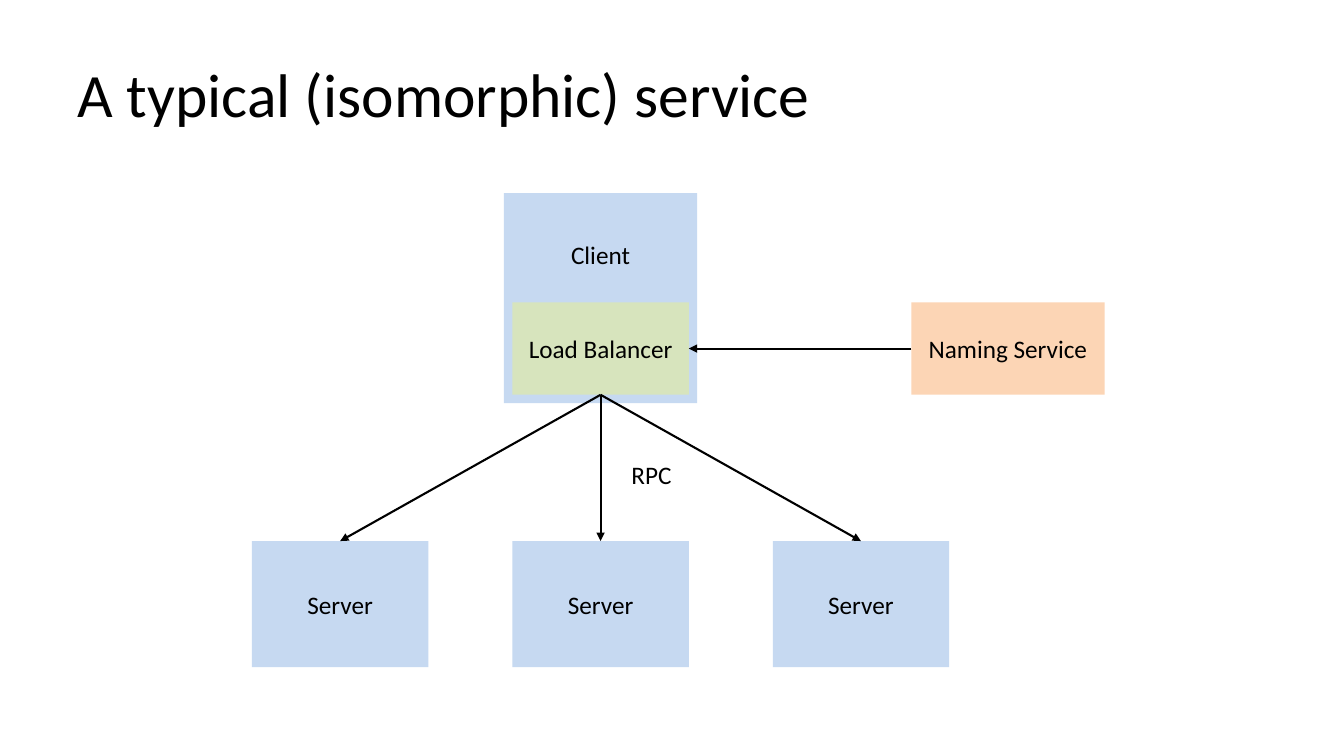
import pptx
import pptx.util
import pptx.dml.color
import pptx.enum.shapes
import pptx.enum.text
import pptx.oxml.ns
import lxml.etree

Pt = pptx.util.Pt
ALIGN = pptx.enum.text.PP_ALIGN
MIDDLE = pptx.enum.text.MSO_ANCHOR.MIDDLE
TOP, LEFT, BOTTOM, RIGHT = range(4)


class Board:
    colors = {"ink": "000000", "blue": "C6D9F1", "green": "D7E4BD", "peach": "FCD5B5"}
    font = "Calibri"

    def __init__(self, slide):
        self.slide = slide

    def color(self, name):
        return pptx.dml.color.RGBColor.from_string(self.colors[name])

    def fill_text(self, frame, text, size=18, align=ALIGN.LEFT):
        frame.text = text
        frame.word_wrap = True
        para = frame.paragraphs[0]
        para.alignment = align
        for run in para.runs:
            run.font.name = self.font
            run.font.size = Pt(size)
            run.font.color.rgb = self.color("ink")

    def title(self, text, left, top, width, height):
        shape = self.slide.shapes.title
        shape.left, shape.top = Pt(left), Pt(top)
        shape.width, shape.height = Pt(width), Pt(height)
        self.fill_text(shape.text_frame, text, 44)
        shape.text_frame.vertical_anchor = MIDDLE

    def box(self, text, fill, left, top, width, height, inset=3.6):
        shape = self.slide.shapes.add_shape(
            pptx.enum.shapes.MSO_SHAPE.RECTANGLE, Pt(left), Pt(top), Pt(width), Pt(height))
        shape.shadow.inherit = False
        shape.fill.solid()
        shape.fill.fore_color.rgb = self.color(fill)
        shape.line.fill.background()
        self.fill_text(shape.text_frame, text, align=ALIGN.CENTER)
        shape.text_frame.vertical_anchor = MIDDLE
        shape.text_frame.margin_bottom = Pt(inset)
        return shape

    def label(self, text, left, top, width, height):
        shape = self.slide.shapes.add_textbox(Pt(left), Pt(top), Pt(width), Pt(height))
        self.fill_text(shape.text_frame, text)

    def arrow(self, start, start_side, end, end_side):
        link = self.slide.shapes.add_connector(
            pptx.enum.shapes.MSO_CONNECTOR.STRAIGHT, 0, 0, 0, 0)
        link.begin_connect(start, start_side)
        link.end_connect(end, end_side)
        link.line.width = Pt(1.5)
        link.line.color.rgb = self.color("ink")
        name = pptx.oxml.ns.qn
        props = link._element.spPr
        lxml.etree.SubElement(props.find(name("a:ln")), name("a:tailEnd"), type="triangle")
        lxml.etree.SubElement(props, name("a:effectLst"))


def main():
    deck = pptx.Presentation()
    deck.slide_width, deck.slide_height = Pt(960), Pt(540)
    board = Board(deck.slides.add_slide(deck.slide_layouts[5]))
    board.title("A typical (isomorphic) service", 48, 21.6, 864, 90)
    naming = board.box("Naming Service", "peach", 651, 216, 138, 66)
    board.box("Client", "blue", 360, 138, 138, 150, inset=66)
    router = board.box("Load Balancer", "green", 366, 216, 126, 66)
    board.arrow(naming, LEFT, router, RIGHT)
    for col in range(3):
        server = board.box("Server", "blue", 180 + 186 * col, 386.5, 126, 90)
        board.arrow(router, BOTTOM, server, TOP)
    board.label("RPC", 444, 324.7, 78, 29)
    deck.save("out.pptx")


if __name__ == "__main__":
    main()
